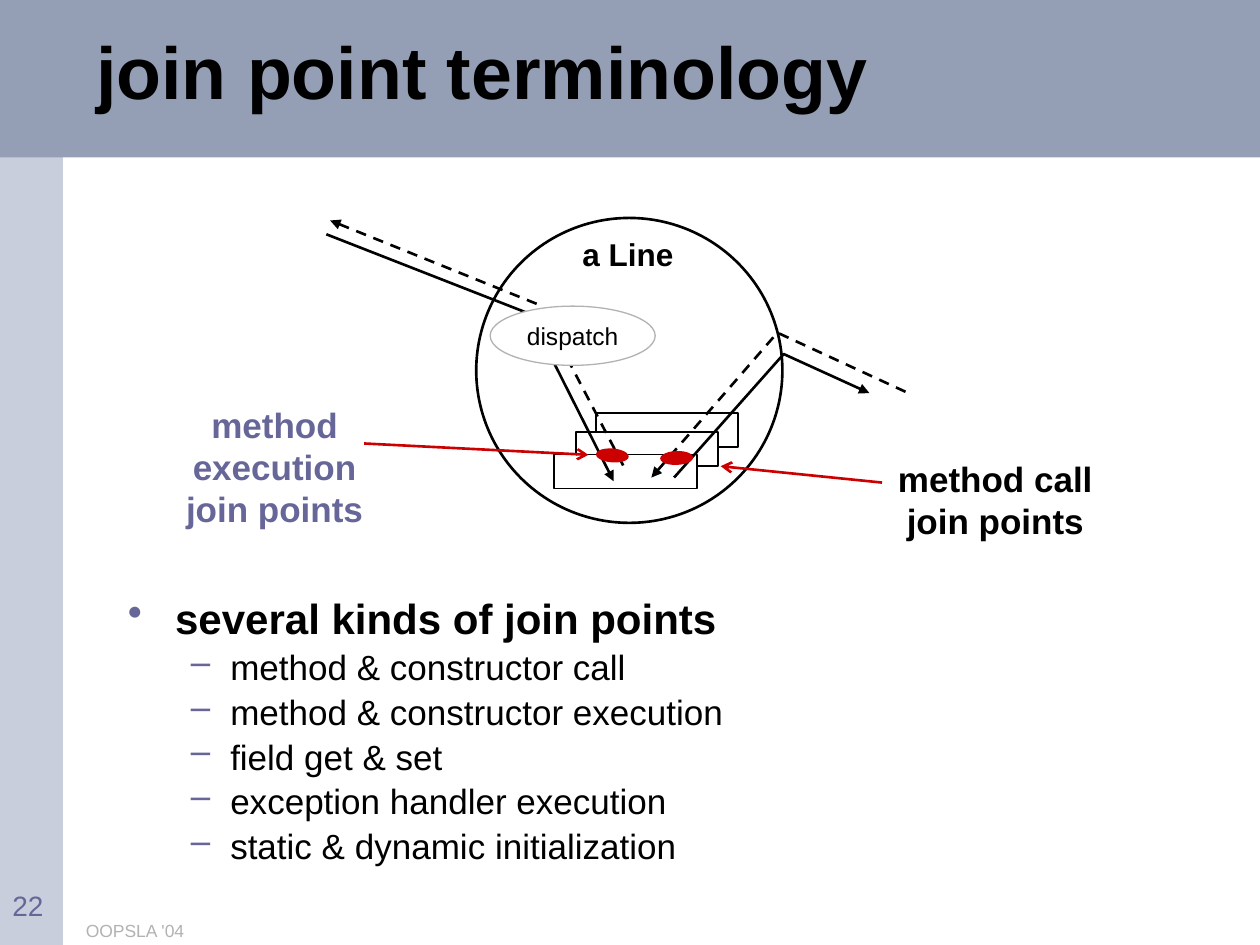
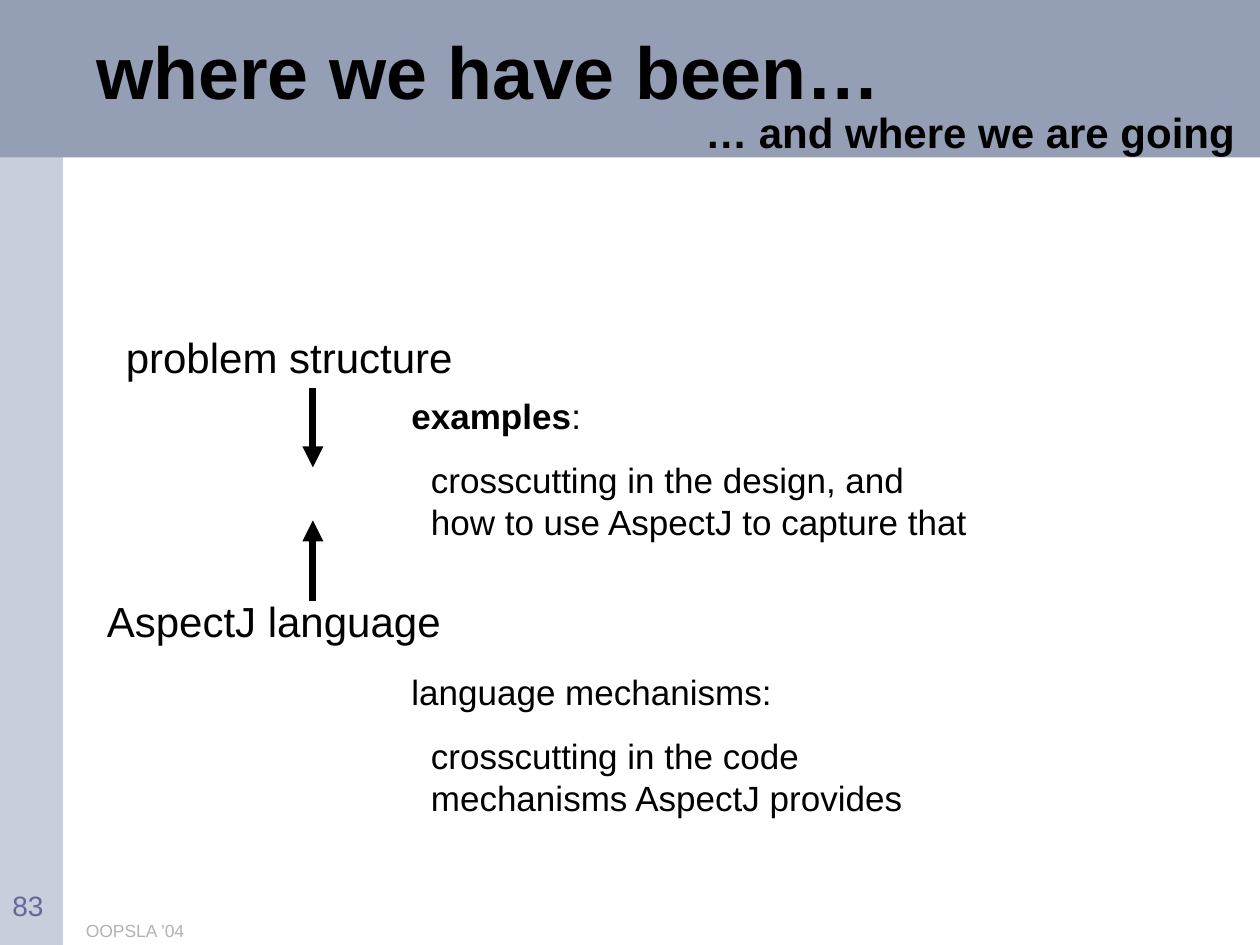
from dataclasses import dataclass

from lxml.etree import SubElement
from pptx import Presentation
from pptx.dml.color import RGBColor
from pptx.enum.dml import MSO_LINE_DASH_STYLE as Dash
from pptx.enum.shapes import MSO_CONNECTOR as Connector, MSO_SHAPE as Shape
from pptx.enum.text import MSO_ANCHOR as Anchor, PP_ALIGN as Align
from pptx.oxml.ns import qn
from pptx.util import Inches, Pt


@dataclass(frozen=True)
class Theme:
    """Colours, type sizes and grid shared by the slides."""
    font: str = "Arial"
    ink: str = "000000"
    paper: str = "FFFFFF"
    banner: str = "949FB6"
    sidebar: str = "C8CEDC"
    accent: str = "666699"
    signal: str = "CC0000"
    muted: str = "B2B2B2"
    title_size: int = 42
    head_size: int = 24
    body_size: int = 20
    label_size: int = 18
    number_size: int = 16
    small_size: int = 14
    footer_size: int = 10
    columns: int = 120
    rows: int = 90
    width: float = 10
    height: float = 7.5


THEME = Theme()


@dataclass
class Para:
    """A paragraph: its runs as (text, bold) pairs, and its layout."""
    runs: list
    size: int = THEME.body_size
    color: str = THEME.ink
    align: Align = Align.LEFT
    before: float = 0
    spacing: float = 1.0
    margin: float = 0
    hang: float = 0
    bullet: str = ""


def col(count):
    """Turn grid columns into a length."""
    return Inches(count * THEME.width / THEME.columns)


def row(count):
    """Turn grid rows into a length."""
    return Inches(count * THEME.height / THEME.rows)


def place(left, top, width, height):
    """Turn a grid box into lengths."""
    return col(left), row(top), col(width), row(height)


def rgb(color):
    """Turn a hex string into a colour."""
    return RGBColor.from_string(color)


def set_bullet(paragraph, para):
    """Give a paragraph its indents and bullet sign."""
    props = paragraph._p.get_or_add_pPr()
    props.set("marL", str(col(para.margin)))
    props.set("indent", str(-col(para.hang)))
    if para.bullet:
        tint = SubElement(props, qn("a:buClr"))
        SubElement(tint, qn("a:srgbClr"), val=THEME.accent)
        SubElement(props, qn("a:buChar"), char=para.bullet)


def write(frame, paras, anchor=Anchor.TOP):
    """Fill a text frame run by run."""
    frame.vertical_anchor = anchor
    for index, para in enumerate(paras):
        paragraph = frame.add_paragraph() if index else frame.paragraphs[0]
        set_bullet(paragraph, para)
        paragraph.alignment = para.align
        paragraph.line_spacing = para.spacing
        if index:
            paragraph.space_before = Pt(para.before)
        for words, bold in para.runs:
            for line, piece in enumerate(words.split("\n")):
                if line:
                    paragraph.add_line_break()
                run = paragraph.add_run()
                run.text = piece
                run.font.name = THEME.font
                run.font.size = Pt(para.size)
                run.font.bold = bold
                run.font.color.rgb = rgb(para.color)


def add_text(slide, box, paras, anchor=Anchor.TOP):
    """Add a wrapping text box."""
    holder = slide.shapes.add_textbox(*place(*box))
    holder.text_frame.word_wrap = True
    write(holder.text_frame, paras, anchor)
    return holder


def add_label(slide, box, words, size=THEME.body_size, color=THEME.ink,
              bold=False, align=Align.LEFT):
    """Add a text box with a single run."""
    return add_text(slide, box, [Para([(words, bold)], size, color, align)])


def add_figure(slide, kind, box, fill=None, line=None, weight=1, turn=0):
    """Add a flat preset shape."""
    figure = slide.shapes.add_shape(kind, *place(*box))
    figure.shadow.inherit = False
    figure.rotation = turn
    if fill:
        figure.fill.solid()
        figure.fill.fore_color.rgb = rgb(fill)
    else:
        figure.fill.background()
    if line:
        figure.line.color.rgb = rgb(line)
        figure.line.width = Pt(weight)
    else:
        figure.line.fill.background()
    return figure


def style_stroke(stroke, color, weight, end, head):
    """Colour a line and put an arrowhead on one end."""
    stroke.line.color.rgb = rgb(color)
    stroke.line.width = Pt(weight)
    SubElement(stroke.line._get_or_add_ln(), qn(f"a:{end}End"), type=head)


def add_arrow(slide, start, finish, color, weight, head):
    """Add a straight arrow."""
    arrow = slide.shapes.add_connector(
        Connector.STRAIGHT, col(start[0]), row(start[1]),
        col(finish[0]), row(finish[1]))
    style_stroke(arrow, color, weight, "tail", head)
    SubElement(arrow._element.spPr, qn("a:effectLst"))
    return arrow


def add_route(slide, points, end, dashed=False):
    """Add a bent message arrow through grid points."""
    start, *others = [(col(x), row(y)) for x, y in points]
    builder = slide.shapes.build_freeform(*start)
    builder.add_line_segments(others, close=False)
    route = builder.convert_to_shape()
    route.shadow.inherit = False
    route.fill.background()
    if dashed:
        route.line.dash_style = Dash.DASH
    style_stroke(route, THEME.ink, 1.5, end, "triangle")


def new_slide(deck, title, number):
    """Add a slide with bands, title, footer and number."""
    slide = deck.slides.add_slide(deck.slide_layouts[6])
    add_figure(slide, Shape.RECTANGLE, (0, 0, 6, 90), THEME.sidebar)
    add_figure(slide, Shape.RECTANGLE, (0, 0, 120, 15), THEME.banner)
    heading = Para([(title, True)], THEME.title_size, spacing=0.85)
    add_text(slide, (8, 1, 107, 12.6), [heading], Anchor.MIDDLE)
    add_label(slide, (7, 87, 67, 3), "OOPSLA '04", THEME.footer_size, THEME.muted)
    add_label(slide, (0, 84, 8, 3), number, THEME.number_size, THEME.accent)
    return slide


def add_object_diagram(slide):
    """Draw the object, its methods and the messages through it."""
    for left, top in ((56.76, 39.36), (54.84, 41.16), (52.8, 43.3)):
        add_figure(slide, Shape.RECTANGLE, (left, top, 13.56, 3.24),
                   THEME.paper, THEME.ink)
    add_figure(slide, Shape.OVAL, (45.36, 20.76, 29.16, 29.04),
               line=THEME.ink, weight=1.5)
    add_label(slide, (52.8, 21.84, 14, 4.8), "a Line", THEME.label_size,
              bold=True, align=Align.CENTER)
    add_route(slide, [(31.08, 22.32), (50.4, 29.88), (58.44, 45.84)], "tail")
    add_route(slide, [(31.44, 21), (51.36, 29.04), (59.64, 44.88)], "head", True)
    dispatch = add_figure(slide, Shape.OVAL, (46.68, 29.16, 15.72, 5.64),
                          THEME.paper, THEME.muted, 0.75)
    dispatch.text_frame.word_wrap = False
    write(dispatch.text_frame,
          [Para([("dispatch", False)], THEME.small_size, align=Align.CENTER)],
          Anchor.MIDDLE)
    add_route(slide, [(62.04, 45.48), (74.04, 31.68), (86.52, 37.44)], "head", True)
    add_route(slide, [(64.2, 45.48), (74.64, 33.72), (82.8, 37.44)], "tail")


def add_join_points(slide):
    """Mark the join points and name them."""
    for left, top, turn in ((56.82, 42.78, 4.6), (62.94, 43.02, -2.2)):
        add_figure(slide, Shape.OVAL, (left, top, 3, 1.2),
                   THEME.signal, THEME.signal, 0.75, turn)
    for start, finish in (((34.68, 42.24), (56.04, 43.32)),
                          ((84, 45.96), (68.64, 44.4))):
        add_arrow(slide, start, finish, THEME.signal, 1.5, "arrow")
    add_label(slide, (14.4, 37.8, 23.52, 13.2), "method execution join points",
              color=THEME.accent, bold=True, align=Align.CENTER)
    add_label(slide, (83.04, 42.96, 23.52, 9.24), "method call join points",
              bold=True, align=Align.CENTER)


def build_terminology(deck):
    """Build the slide on join point terminology."""
    slide = new_slide(deck, "join point terminology", "22")
    kinds = ("method & constructor call", "method & constructor execution",
             "field get & set", "exception handler execution",
             "static & dynamic initialization")
    lead = Para([("several kinds of join points", True)], THEME.head_size,
                spacing=0.75, margin=4.5, hang=4.5, bullet="•")
    details = [Para([(kind, False)], before=7.5, spacing=0.75,
                    margin=9.75, hang=3.75, bullet="–") for kind in kinds]
    add_text(slide, (11, 57, 99, 27), [lead, *details])
    add_object_diagram(slide)
    add_join_points(slide)


def add_topic(slide, top, heading, detail):
    """Add a topic heading with its indented detail."""
    add_text(slide, (38, top, 70, 15.36),
             [Para(heading), Para([(detail, False)], before=12.5, margin=1.85)])


def build_overview(deck):
    """Build the slide on what is done and what comes next."""
    slide = new_slide(deck, "where we have been…", "83")
    add_label(slide, (41.04, 9.6, 77.76, 6), "… and where we are going",
              THEME.head_size, bold=True, align=Align.RIGHT)
    problem = add_label(slide, (10.8, 30.96, 38, 6), "problem structure",
                        THEME.head_size)
    add_label(slide, (9, 56.16, 41.52, 6), "AspectJ language", THEME.head_size)
    downward = add_arrow(slide, (29.8, 36.96), (29.8, 44.52),
                         THEME.ink, 4, "triangle")
    downward.begin_connect(problem, 2)
    add_arrow(slide, (29.8, 57.24), (29.8, 49.56), THEME.ink, 4, "triangle")
    add_topic(slide, 36.96, [("examples", True), (":", False)],
              "crosscutting in the design, and\nhow to use AspectJ to capture that")
    add_topic(slide, 63.24, [("language mechanisms:", False)],
              "crosscutting in the code\nmechanisms AspectJ provides")


def main():
    """Build and save the deck."""
    deck = Presentation()
    deck.slide_width = Inches(THEME.width)
    deck.slide_height = Inches(THEME.height)
    build_terminology(deck)
    build_overview(deck)
    deck.save("out.pptx")


if __name__ == "__main__":
    main()
